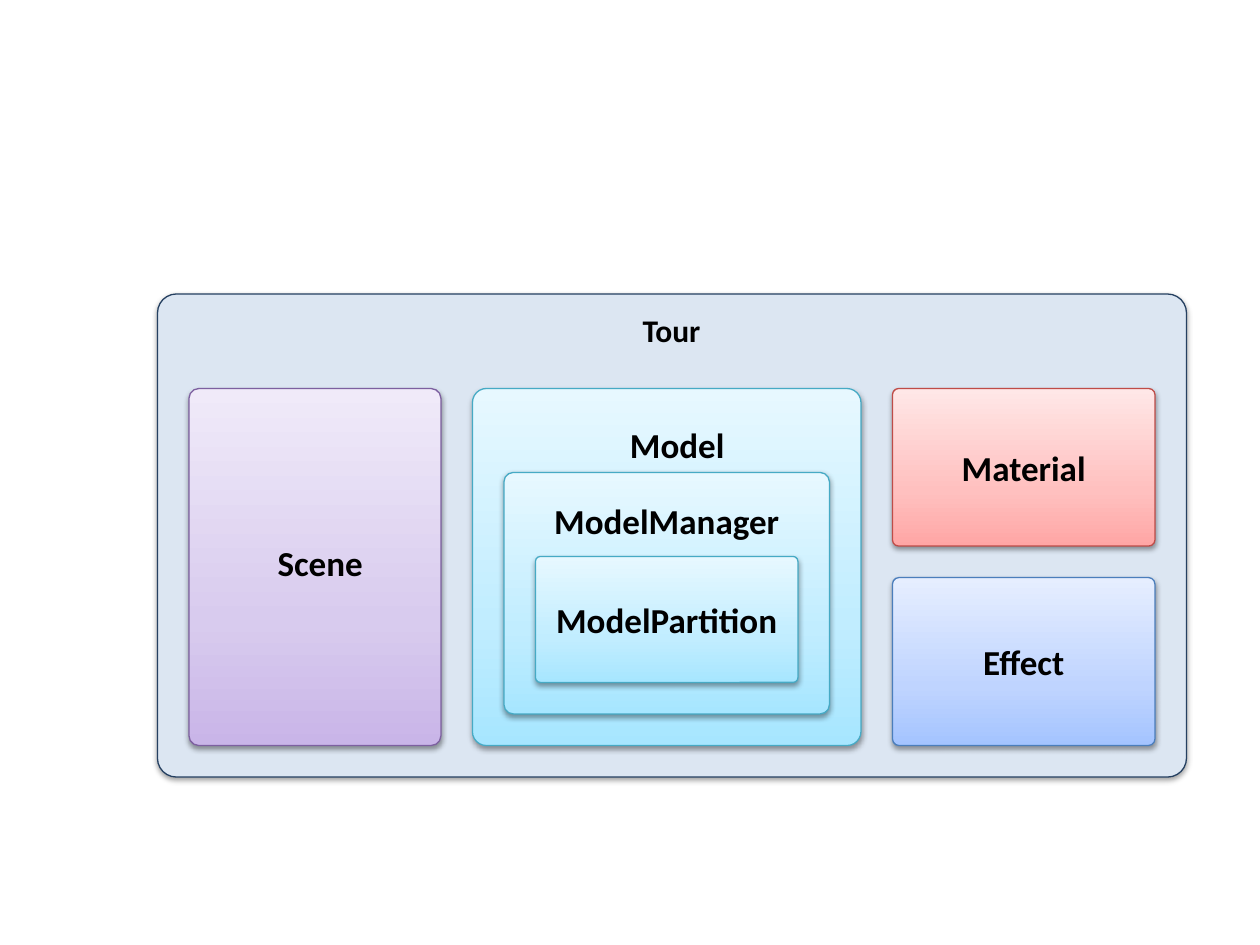
from copy import deepcopy

from lxml import etree
from pptx import Presentation
from pptx.dml.color import RGBColor
from pptx.enum.shapes import MSO_SHAPE
from pptx.enum.text import MSO_ANCHOR, MSO_AUTO_SIZE, PP_ALIGN
from pptx.oxml.ns import qn
from pptx.util import Cm, Pt

ROUNDED = MSO_SHAPE.ROUNDED_RECTANGLE
CENTER = PP_ALIGN.CENTER
MIDDLE = MSO_ANCHOR.MIDDLE
GROW = MSO_AUTO_SIZE.SHAPE_TO_FIT_TEXT

UNIT = Cm(2.54) // 12  # the layout grid has twelve units to the inch
GAP = 3
FONT = "Calibri"
BLACK = RGBColor(0x00, 0x00, 0x00)
TOUR_FILL = RGBColor(0xDC, 0xE6, 0xF2)
TOUR_LINE = RGBColor(0x25, 0x40, 0x61)
PURPLE_LINE = RGBColor(0x7D, 0x60, 0xA0)
RED_LINE = RGBColor(0xBF, 0x4C, 0x48)
CYAN_LINE = RGBColor(0x46, 0xAA, 0xC5)
BLUE_LINE = RGBColor(0x4B, 0x7E, 0xBC)
# Gradients run from the bottom edge to the top edge.
PURPLES = (RGBColor(0xC9, 0xB5, 0xE8), RGBColor(0xD8, 0xCB, 0xEE), RGBColor(0xF0, 0xEA, 0xF9))
REDS = (RGBColor(0xFF, 0xA6, 0xA5), RGBColor(0xFF, 0xC0, 0xBF), RGBColor(0xFF, 0xE7, 0xE7))
CYANS = (RGBColor(0xA7, 0xE6, 0xFF), RGBColor(0xC1, 0xED, 0xFF), RGBColor(0xE7, 0xF8, 0xFF))
BLUES = (RGBColor(0xA4, 0xC4, 0xFF), RGBColor(0xBF, 0xD4, 0xFF), RGBColor(0xE6, 0xEE, 0xFF))
STOP_POSITIONS = (0, 0.35, 1)


def to_lengths(box):
    return [round(value * UNIT) for value in box]


def write_text(shape, text, size=20, wrap=True):
    frame = shape.text_frame
    frame.word_wrap = wrap
    paragraph = frame.paragraphs[0]
    paragraph.alignment = CENTER
    run = paragraph.add_run()
    run.text = text
    run.font.name = FONT
    run.font.size = Pt(size)
    run.font.bold = True
    run.font.color.rgb = BLACK


def add_label(slide, box, text, **text_format):
    label = slide.shapes.add_textbox(*to_lengths(box))
    write_text(label, text, **text_format)
    label.text_frame.auto_size = GROW


def fill_gradient(shape, colors):
    shape.fill.gradient()
    shape.fill.gradient_angle = 90
    stop_list = shape.element.spPr.find(".//" + qn("a:gsLst"))
    stop_list.insert(1, deepcopy(stop_list[0]))
    for stop, position, color in zip(shape.fill.gradient_stops, STOP_POSITIONS, colors):
        stop.position = position
        stop.color.rgb = color


def add_soft_shadow(shape):
    shape.shadow.inherit = False
    effects = shape.element.spPr.find(qn("a:effectLst"))
    shadow = etree.SubElement(effects, qn("a:outerShdw"), blurRad="40000", dist="20000",
                              dir="5400000", rotWithShape="0")
    color = etree.SubElement(shadow, qn("a:srgbClr"), val=str(BLACK))
    etree.SubElement(color, qn("a:alpha"), val="38000")


def add_panel(slide, box, line_color, gradient=None, text=None):
    """Add a rounded panel; without a gradient it takes the plain tour fill."""
    panel = slide.shapes.add_shape(ROUNDED, *to_lengths(box))
    panel.adjustments[0] = 0.039
    if gradient:
        fill_gradient(panel, gradient)
    else:
        panel.fill.solid()
        panel.fill.fore_color.rgb = TOUR_FILL
    panel.line.color.rgb = line_color
    panel.line.width = Pt(0.75)
    add_soft_shadow(panel)
    if text:
        write_text(panel, text)
        panel.text_frame.vertical_anchor = MIDDLE


def add_scene(slide, box):
    left, top, width, height = box
    add_panel(slide, box, PURPLE_LINE, PURPLES)
    add_label(slide, (left, top + 14, width + 1, 5.3), "Scene")


def add_model(slide, box):
    """Nest the manager and the partition inside the model, one gap apart."""
    left, top, width, height = box
    add_panel(slide, box, CYAN_LINE, CYANS)
    add_label(slide, (left + 7, top + 2.75, 25, 5.3), "Model")
    manager = (left + GAP, top + 8, width - 2 * GAP, height - 8 - GAP)
    add_panel(slide, manager, CYAN_LINE, CYANS)
    left, top, width, height = manager
    add_label(slide, (left + GAP, top + 2, width - 2 * GAP, 5.3), "ModelManager")
    partition = (left + GAP, top + 8, width - 2 * GAP, height - 8 - GAP)
    add_panel(slide, partition, CYAN_LINE, CYANS, "ModelPartition")


def add_surfaces(slide, box):
    """Stack the material above the effect."""
    left, top, width, height = box
    material_height = 15
    effect_offset = material_height + GAP
    add_panel(slide, (left, top, width, material_height), RED_LINE, REDS, "Material")
    add_panel(slide, (left, top + effect_offset, width, height - effect_offset),
              BLUE_LINE, BLUES, "Effect")


def add_tour(slide, box):
    left, top, width, height = box
    add_panel(slide, box, TOUR_LINE)
    add_label(slide, (left + 45, top + 1, 7.9, 4.8), "Tour", size=18, wrap=False)
    column_left = left + GAP
    column_top = top + 9
    column_height = height - 9 - GAP
    for add_column, column_width in ((add_scene, 24), (add_model, 37), (add_surfaces, 25)):
        add_column(slide, (column_left, column_top, column_width, column_height))
        column_left += column_width + GAP


def main():
    presentation = Presentation()
    presentation.slide_width = Cm(25.4)
    presentation.slide_height = Cm(19.05)
    slide = presentation.slides.add_slide(presentation.slide_layouts[6])
    add_tour(slide, (15, 28, 98, 46))
    presentation.save("out.pptx")


if __name__ == "__main__":
    main()
